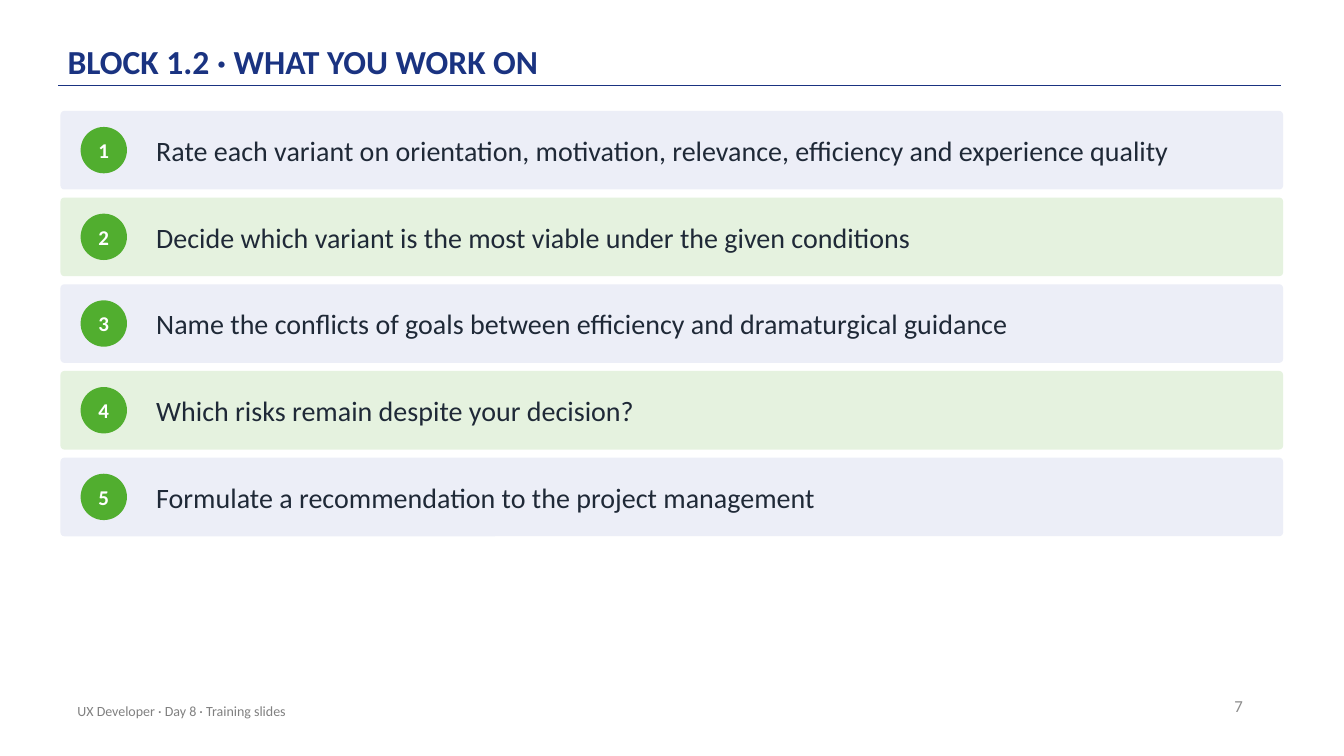
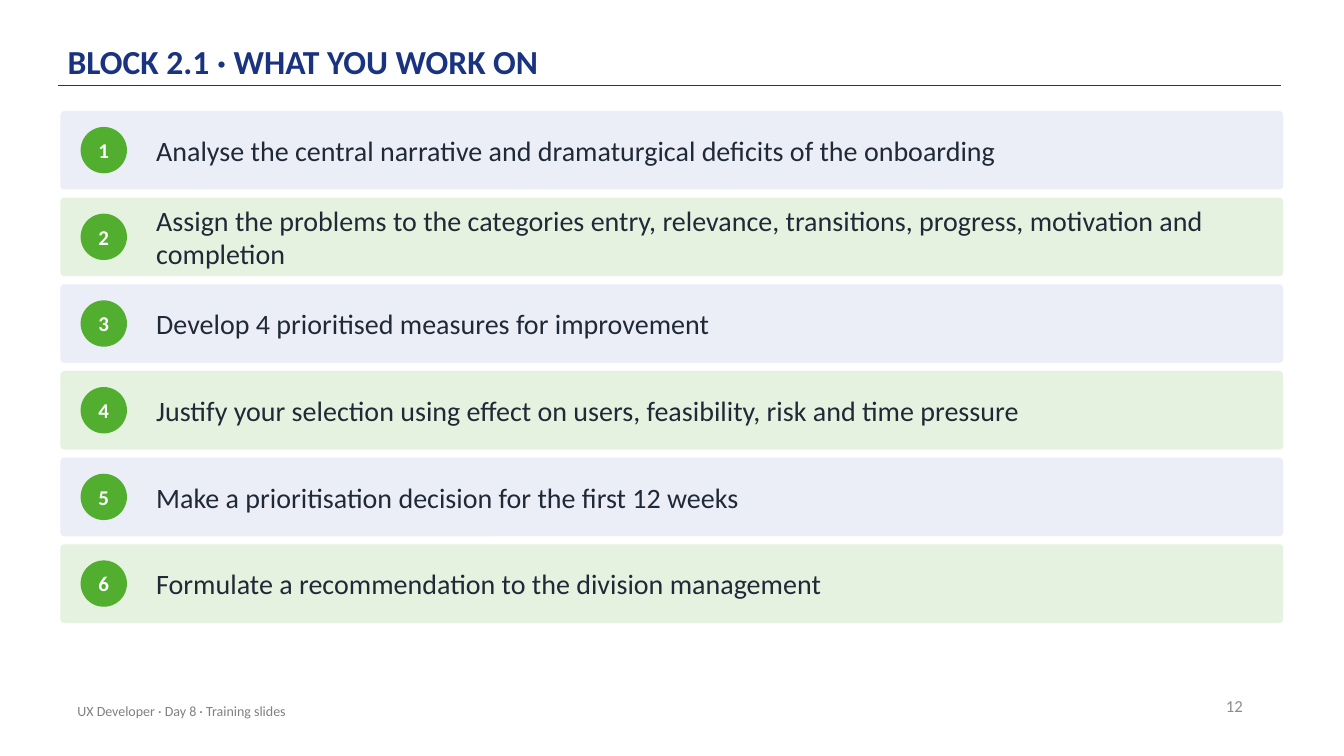
"""Build the two task slides of the UX Developer training."""
import pptx
import pptx.dml.color
import pptx.enum.shapes
import pptx.enum.text
import pptx.oxml
import pptx.util

Pt = pptx.util.Pt
RGBColor = pptx.dml.color.RGBColor
Shape = pptx.enum.shapes.MSO_SHAPE
Anchor = pptx.enum.text.MSO_ANCHOR
Align = pptx.enum.text.PP_ALIGN

NAVY = RGBColor(0x1A, 0x33, 0x81)
GREEN = RGBColor(0x51, 0xAE, 0x2F)
WHITE = RGBColor(0xFF, 0xFF, 0xFF)
INK = RGBColor(0x1F, 0x29, 0x37)
NUMBER_GREY = RGBColor(0x8C, 0x8C, 0x8C)
FOOTER_GREY = RGBColor(0x80, 0x80, 0x80)
ROW_FILLS = (RGBColor(0xEC, 0xEE, 0xF7), RGBColor(0xE5, 0xF2, 0xDF))

FONT = "Calibri"
FOOTER = "UX Developer · Day 8 · Training slides"
MARGIN = 48.24
ROW_LEFT, ROW_TOP, ROW_WIDTH, ROW_HEIGHT = 43.2, 79.2, 873.36, 56.16
ROW_PITCH = 61.92
BADGE_LEFT, BADGE_SIZE = 57.6, 33.12
TASK_LEFT, TASK_WIDTH = 111.6, 786.96

SLIDES = [
    ("BLOCK 1.2 · WHAT YOU WORK ON", 7, [
        "Rate each variant on orientation, motivation, relevance, efficiency and experience quality",
        "Decide which variant is the most viable under the given conditions",
        "Name the conflicts of goals between efficiency and dramaturgical guidance",
        "Which risks remain despite your decision?",
        "Formulate a recommendation to the project management",
    ]),
    ("BLOCK 2.1 · WHAT YOU WORK ON", 12, [
        "Analyse the central narrative and dramaturgical deficits of the onboarding",
        "Assign the problems to the categories entry, relevance, transitions, progress, "
        "motivation and completion",
        "Develop 4 prioritised measures for improvement",
        "Justify your selection using effect on users, feasibility, risk and time pressure",
        "Make a prioritisation decision for the first 12 weeks",
        "Formulate a recommendation to the division management",
    ]),
]


class Deck:
    def __init__(self):
        self.presentation = pptx.Presentation()
        self.presentation.slide_width = Pt(960)
        self.presentation.slide_height = Pt(540)
        self.slide = None

    def add_slide(self, title, number):
        layout = self.presentation.slide_layouts.get_by_name("Title Only")
        self.slide = self.presentation.slides.add_slide(layout)
        self.add_rule(41.76, 915.12, 61.2)
        self.set_title(title)
        self.add_text(str(number), 678.96, 489.6, 216, 28.8, 12, NUMBER_GREY,
                      align=Align.RIGHT, insets=(7.2, 3.6))
        self.add_text(FOOTER, MARGIN, 493.2, 482.4, 28.8, 10, FOOTER_GREY, insets=(7.2, 3.6))

    def set_text(self, shape, text, size, color, bold=False, align=Align.LEFT,
                 anchor=Anchor.MIDDLE, insets=(0, 0)):
        frame = shape.text_frame
        frame.text = text
        frame.word_wrap = True
        frame.auto_size = pptx.enum.text.MSO_AUTO_SIZE.NONE
        frame.vertical_anchor = anchor
        frame.margin_left = frame.margin_right = Pt(insets[0])
        frame.margin_top = frame.margin_bottom = Pt(insets[1])
        paragraph = frame.paragraphs[0]
        paragraph.alignment = align
        paragraph.font.name = FONT
        paragraph.font.size = Pt(size)
        paragraph.font.bold = bold
        paragraph.font.color.rgb = color
        return paragraph

    def set_title(self, text):
        title = self.slide.shapes.title
        title.left, title.top = Pt(MARGIN), Pt(8.64)
        title.width, title.height = Pt(792), Pt(51.84)
        paragraph = self.set_text(title, text, 24, NAVY, bold=True,
                                  anchor=Anchor.BOTTOM, insets=(0, 2.16))
        paragraph.line_spacing = 0.9

    def add_rule(self, left, right, top):
        rule = self.slide.shapes.add_connector(
            pptx.enum.shapes.MSO_CONNECTOR.STRAIGHT, Pt(left), Pt(top), Pt(right), Pt(top))
        rule.line.color.rgb = NAVY
        rule.line.width = Pt(1)
        properties = rule.element.spPr
        properties.append(properties.makeelement(pptx.oxml.ns.qn("a:effectLst"), {}))

    def add_text(self, text, left, top, width, height, size, color, **style):
        box = self.slide.shapes.add_textbox(Pt(left), Pt(top), Pt(width), Pt(height))
        self.set_text(box, text, size, color, **style)

    def add_filled(self, kind, left, top, width, height, fill):
        shape = self.slide.shapes.add_shape(kind, Pt(left), Pt(top), Pt(width), Pt(height))
        shape.shadow.inherit = False
        shape.fill.solid()
        shape.fill.fore_color.rgb = fill
        shape.line.fill.background()
        return shape

    def add_task(self, index, text):
        top = ROW_TOP + index * ROW_PITCH
        row = self.add_filled(Shape.ROUNDED_RECTANGLE, ROW_LEFT, top, ROW_WIDTH, ROW_HEIGHT,
                              ROW_FILLS[index % len(ROW_FILLS)])
        row.adjustments[0] = 0.05
        badge = self.add_filled(Shape.OVAL, BADGE_LEFT, top + (ROW_HEIGHT - BADGE_SIZE) / 2,
                                BADGE_SIZE, BADGE_SIZE, GREEN)
        self.set_text(badge, str(index + 1), 15, WHITE, bold=True, align=Align.CENTER)
        self.add_text(text, TASK_LEFT, top, TASK_WIDTH, ROW_HEIGHT, 20, INK)


def main():
    deck = Deck()
    for title, number, tasks in SLIDES:
        deck.add_slide(title, number)
        for index, task in enumerate(tasks):
            deck.add_task(index, task)
    deck.presentation.save("out.pptx")


if __name__ == "__main__":
    main()
